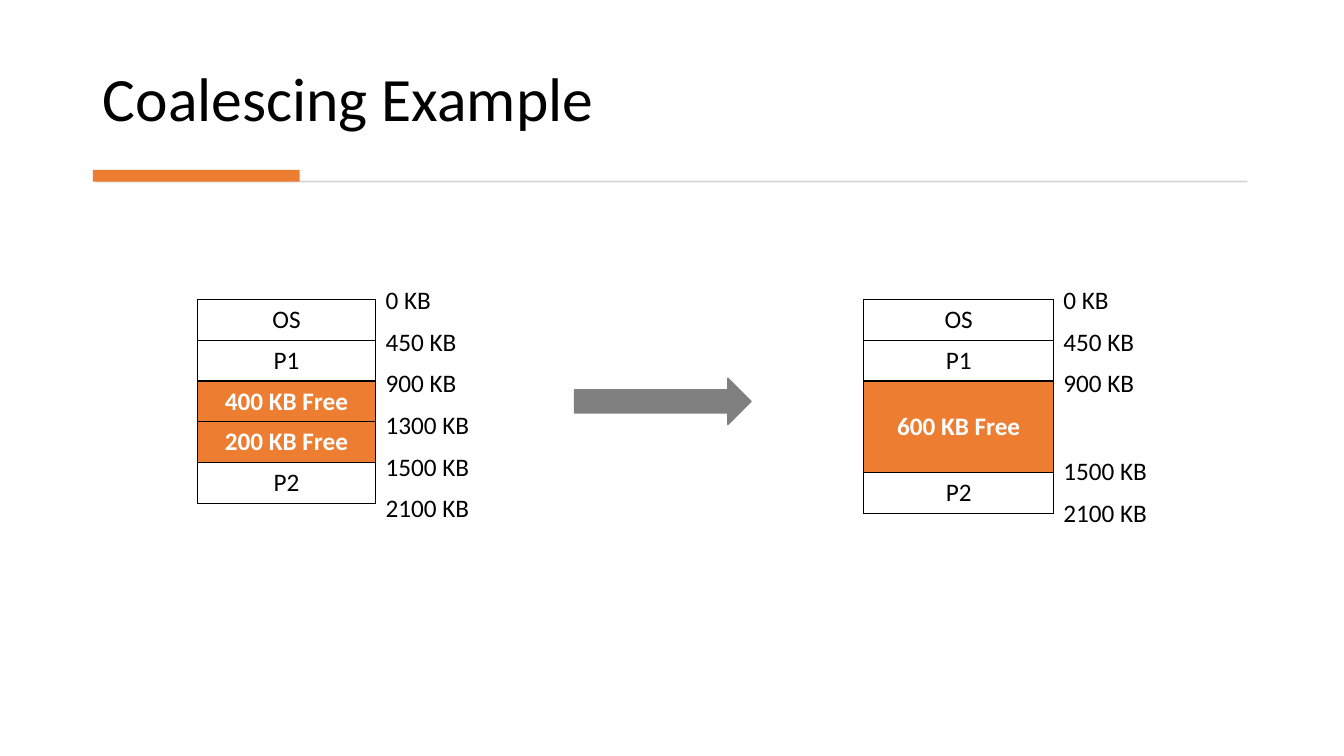
from itertools import accumulate

from lxml import etree
from pptx import Presentation
from pptx.dml.color import RGBColor
from pptx.enum.shapes import MSO_SHAPE as SHAPE
from pptx.enum.text import MSO_ANCHOR as ANCHOR, MSO_AUTO_SIZE as AUTO, PP_ALIGN as ALIGN
from pptx.oxml.ns import qn
from pptx.util import Cm, Pt

BLACK, WHITE, ORANGE, GRAY, RULE = "000000", "FFFFFF", "ED7D31", "808080", "D5D5D5"
ROW, MERGED = 1.03, 2.31
LABEL_STEP = {ROW: 1.05, MERGED: 2.21}
LABEL_RISE, LABEL_W, LABEL_H = 0.5, 2.82, 1.02

# Each block: name, end address, height in cm
BEFORE = [("OS", "450 KB", ROW), ("P1", "900 KB", ROW), ("400 KB Free", "1300 KB", ROW),
          ("200 KB Free", "1500 KB", ROW), ("P2", "2100 KB", ROW)]
AFTER = [("OS", "450 KB", ROW), ("P1", "900 KB", ROW),
         ("600 KB Free", "1500 KB", MERGED), ("P2", "2100 KB", ROW)]


def rgb(color):
    return RGBColor.from_string(color)


def style(p, size, color=BLACK, bold=False):
    for r in p.runs:
        r.font.name = "Calibri"
        r.font.size = Pt(size)
        r.font.bold = bold
        r.font.color.rgb = rgb(color)


def add_filled(slide, kind, x, y, w, h, color):
    sp = slide.shapes.add_shape(kind, Cm(x), Cm(y), Cm(w), Cm(h))
    sp.shadow.inherit = False
    sp.fill.solid()
    sp.fill.fore_color.rgb = rgb(color)
    sp.line.fill.background()
    return sp


def add_borders(cell):
    """Draw a thin black line on all four sides, placed before the cell's fill."""
    tc_pr = cell._tc.get_or_add_tcPr()
    for i, side in enumerate(("lnL", "lnR", "lnT", "lnB")):
        ln = etree.Element(qn(f"a:{side}"), w=str(Pt(1)))
        fill = etree.SubElement(ln, qn("a:solidFill"))
        etree.SubElement(fill, qn("a:srgbClr"), val=BLACK)
        tc_pr.insert(i, ln)


def add_header(slide, x, y, w, h):
    title = slide.shapes.title
    title.left, title.top, title.width, title.height = Cm(x), Cm(y), Cm(w), Cm(h)
    tf = title.text_frame
    tf.text = "Coalescing Example"
    tf.vertical_anchor = ANCHOR.BOTTOM
    tf.auto_size = AUTO.NONE
    p = tf.paragraphs[0]
    p.alignment = ALIGN.LEFT
    p.line_spacing = 0.9
    style(p, 44)
    add_filled(slide, SHAPE.RECTANGLE, x + 0.07, y + h + 1.02, w - 0.15, 0.05, RULE)
    add_filled(slide, SHAPE.RECTANGLE, x, y + h + 0.75, 5.21, 0.3, ORANGE)


def add_blocks(slide, x, y, w, blocks):
    total = sum(height for _, _, height in blocks)
    table = slide.shapes.add_table(len(blocks), 1, Cm(x), Cm(y), Cm(w), Cm(total)).table
    table.first_row = table.horz_banding = False
    for i, (name, _, height) in enumerate(blocks):
        table.rows[i].height = Cm(height)
        cell = table.cell(i, 0)
        cell.text = name
        cell.vertical_anchor = ANCHOR.MIDDLE
        p = cell.text_frame.paragraphs[0]
        p.alignment = ALIGN.CENTER
        free = name.endswith("Free")
        style(p, 18, WHITE if free else BLACK, free)
        if free:
            cell.fill.solid()
            cell.fill.fore_color.rgb = rgb(ORANGE)
        else:
            cell.fill.background()
        add_borders(cell)


def add_addresses(slide, x, y, blocks):
    """Label the top of the memory map and the end of each block."""
    labels = ["0 KB"] + [end for _, end, _ in blocks]
    offsets = accumulate((LABEL_STEP[height] for _, _, height in blocks), initial=0)
    group = slide.shapes.add_group_shape()
    for label, offset in zip(labels, offsets):
        sp = group.shapes.add_textbox(Cm(x), Cm(y - LABEL_RISE + offset),
                                      Cm(LABEL_W), Cm(LABEL_H))
        tf = sp.text_frame
        tf.word_wrap = True
        tf.auto_size = AUTO.SHAPE_TO_FIT_TEXT
        tf.text = label
        style(tf.paragraphs[0], 18)


def add_memory_map(slide, x, y, w, blocks):
    add_blocks(slide, x, y, w, blocks)
    add_addresses(slide, x + w, y, blocks)


def add_arrow(slide, x, y, w, h):
    sp = add_filled(slide, SHAPE.RIGHT_ARROW, x, y, w, h, GRAY)
    sp.line.color.rgb = rgb(GRAY)
    sp.line.width = Pt(1)


def main():
    prs = Presentation()
    prs.slide_width, prs.slide_height = Cm(33.87), Cm(19.05)
    slide = prs.slides.add_slide(prs.slide_layouts[5])
    add_header(slide, 2.34, 0.71, 29.18, 2.82)
    add_memory_map(slide, 4.97, 7.54, 4.5, BEFORE)
    add_memory_map(slide, 21.77, 7.54, 4.78, AFTER)
    add_arrow(slide, 14.48, 9.53, 4.45, 1.17)
    prs.save("out.pptx")


if __name__ == "__main__":
    main()
